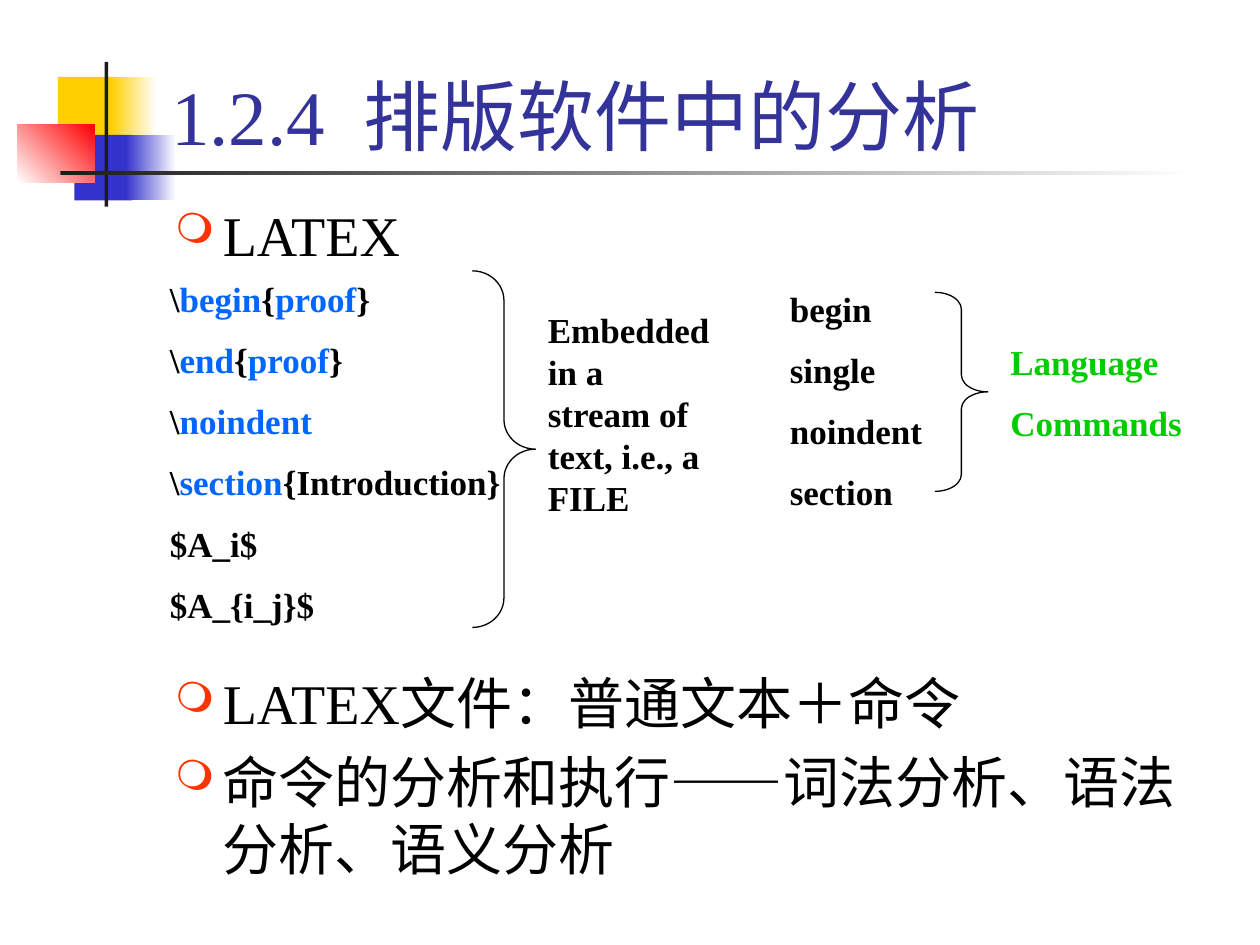
from dataclasses import dataclass
from typing import Any

from lxml import etree
from pptx import Presentation
from pptx import util as u
from pptx.dml.color import RGBColor
from pptx.enum import shapes, text
from pptx.oxml.ns import qn

COLUMNS, ROWS = 100, 75
BLACK = RGBColor(0x00, 0x00, 0x00)
WHITE = RGBColor(0xFF, 0xFF, 0xFF)
CHARCOAL = RGBColor(0x1C, 0x1C, 0x1C)
YELLOW = RGBColor(0xFF, 0xCF, 0x01)
INDIGO = RGBColor(0x33, 0x33, 0xCC)
RED = RGBColor(0xFF, 0x00, 0x00)
NAVY = RGBColor(0x33, 0x33, 0x99)
ORANGE = RGBColor(0xFF, 0x33, 0x00)
BLUE = RGBColor(0x00, 0x66, 0xFF)
GREEN = RGBColor(0x00, 0xCC, 0x00)


@dataclass
class SlideBuilder:
    """Draw styled elements on a slide, placed by grid columns and rows."""

    deck: Any
    slide: Any
    font: str = "Times New Roman"

    def place(self, left, top, width, height):
        column = self.deck.slide_width / COLUMNS
        row = self.deck.slide_height / ROWS
        return [round(n * unit) for n, unit in
                zip((left, top, width, height), (column, row, column, row))]

    def block(self, area, start, end=None, angle=0):
        block = self.slide.shapes.add_shape(
            shapes.MSO_SHAPE.RECTANGLE, *self.place(*area))
        block.shadow.inherit = False
        block.line.fill.background()
        if end is None:
            block.fill.solid()
            block.fill.fore_color.rgb = start
        else:
            block.fill.gradient()
            block.fill.gradient_angle = angle
            for stop, color in zip(block.fill.gradient_stops, (start, end)):
                stop.color.rgb = color

    def brace(self, area, curl):
        brace = self.slide.shapes.add_shape(
            shapes.MSO_SHAPE.RIGHT_BRACE, *self.place(*area))
        brace.shadow.inherit = False
        brace.fill.background()
        brace.line.color.rgb = BLACK
        brace.line.width = u.Pt(0.75)
        brace.adjustments[0] = curl
        brace.adjustments[1] = 0.5

    def bullet(self, paragraph):
        properties = paragraph._p.get_or_add_pPr()
        properties.set("marL", str(u.Inches(0.38)))
        properties.set("indent", str(-u.Inches(0.38)))
        color = etree.SubElement(properties, qn("a:buClr"))
        etree.SubElement(color, qn("a:srgbClr")).set("val", str(ORANGE))
        etree.SubElement(properties, qn("a:buSzPct")).set("val", "75000")
        etree.SubElement(properties, qn("a:buChar")).set("char", "❍")

    def words(self, area, lines, size=20, color=BLACK, bold=True, gap=11,
              anchor=text.MSO_ANCHOR.TOP, bulleted=False):
        frame = self.slide.shapes.add_textbox(*self.place(*area)).text_frame
        frame.word_wrap = True
        frame.vertical_anchor = anchor
        for index, line in enumerate(lines):
            paragraph = frame.paragraphs[0] if index == 0 else frame.add_paragraph()
            if index:
                paragraph.space_before = u.Pt(gap)
            if bulleted:
                self.bullet(paragraph)
            pieces = [(line, color)] if isinstance(line, str) else line
            for wording, tint in pieces:
                run = paragraph.add_run()
                run.text = wording
                style = {"name": self.font, "size": u.Pt(size), "bold": bold}
                for key, value in style.items():
                    setattr(run.font, key, value)
                run.font.color.rgb = tint


def command(name, argument=None, tint=BLUE):
    pieces = [("\\", BLACK), (name, BLUE)]
    if argument:
        pieces += [("{", BLACK), (argument, tint), ("}", BLACK)]
    return pieces


def main():
    deck = Presentation()
    deck.slide_width, deck.slide_height = u.Inches(10), u.Inches(7.5)
    page = SlideBuilder(deck, deck.slides.add_slide(deck.slide_layouts[6]))

    page.block((4.6, 6.1, 4.8, 5.2), YELLOW)
    page.block((8.8, 6.1, 3.6, 5.2), YELLOW, WHITE)
    page.block((5.9, 10.7, 4.6, 5.2), INDIGO)
    page.block((10, 10.7, 4, 5.2), INDIGO, WHITE)
    page.block((1.4, 9.9, 6.1, 4.6), WHITE, RED, angle=45)
    page.block((8.3, 4.9, 0.3, 11.5), CHARCOAL)
    page.block((4.8, 13.6, 90, 0.3), CHARCOAL, WHITE)

    page.words((12.6, 0.8, 85.2, 12.5), ["1.2.4  排版软件中的分析"], size=44,
               color=NAVY, bold=False, anchor=text.MSO_ANCHOR.BOTTOM)
    points = {"size": 32, "bold": False, "gap": 6.4, "bulleted": True}
    page.words((12.9, 15.4, 85, 6), ["LATEX"], **points)
    page.words((12.9, 52.6, 85, 18),
               ["LATEX文件：普通文本＋命令",
                "命令的分析和执行——词法分析、语法分析、语义分析"], **points)

    page.words((12.5, 21.5, 28.3, 29.3),
               [command("begin", "proof"), command("end", "proof"),
                command("noindent"), command("section", "Introduction", BLACK),
                "$A_i$", "$A_{i_j}$"])
    page.brace((37.5, 21.5, 5, 28.3), 0.47)
    page.words((42.5, 24, 15, 17.7),
               ["Embedded in a stream of text, i.e., a FILE"])
    page.words((61.7, 22.3, 13.3, 19.3),
               ["begin", "single", "noindent", "section"])
    page.brace((74.2, 23.2, 4.2, 15.8), 0.32)
    page.words((79.2, 26.5, 20.8, 9.3), ["Language", "Commands"], color=GREEN)

    deck.save("out.pptx")


if __name__ == "__main__":
    main()
